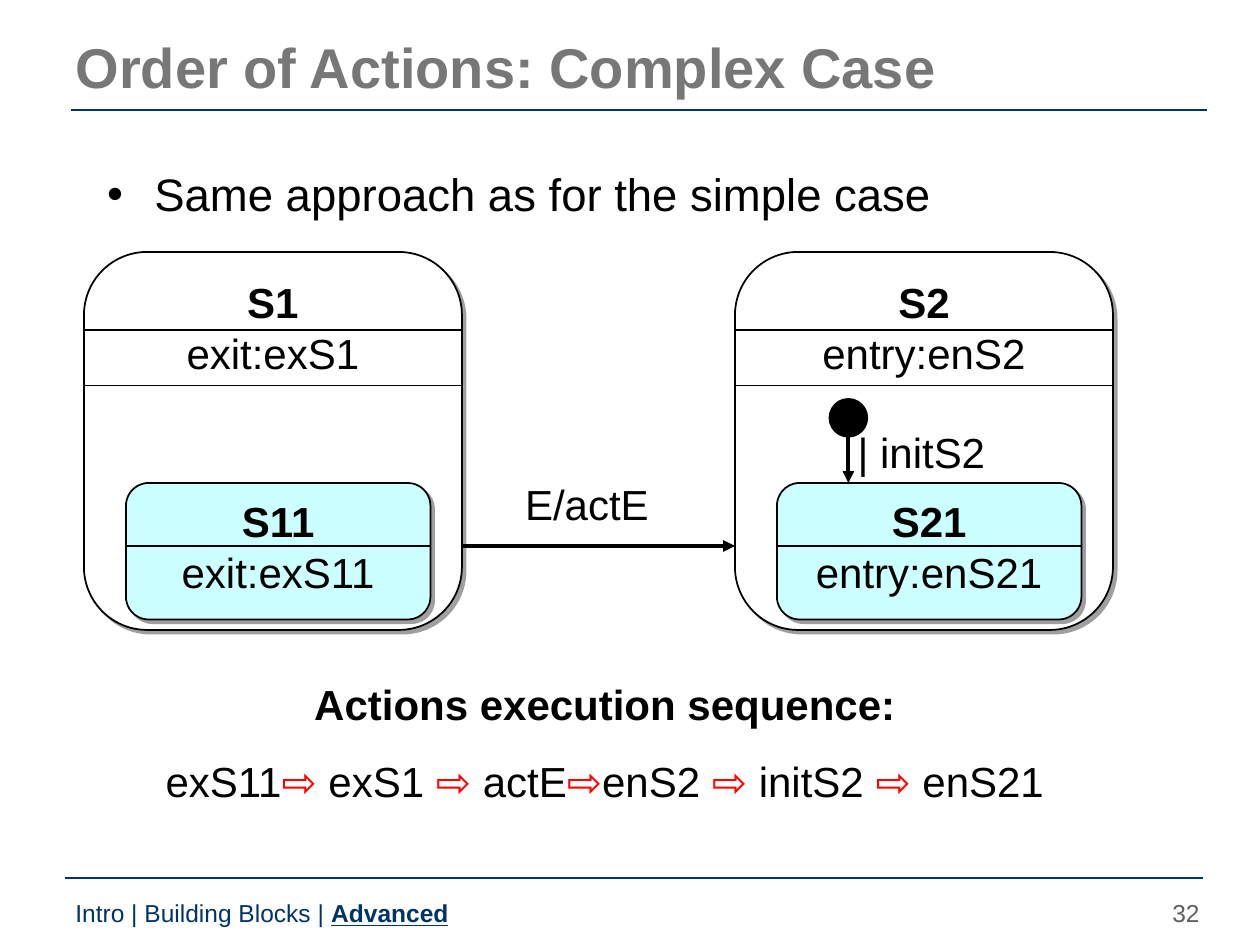
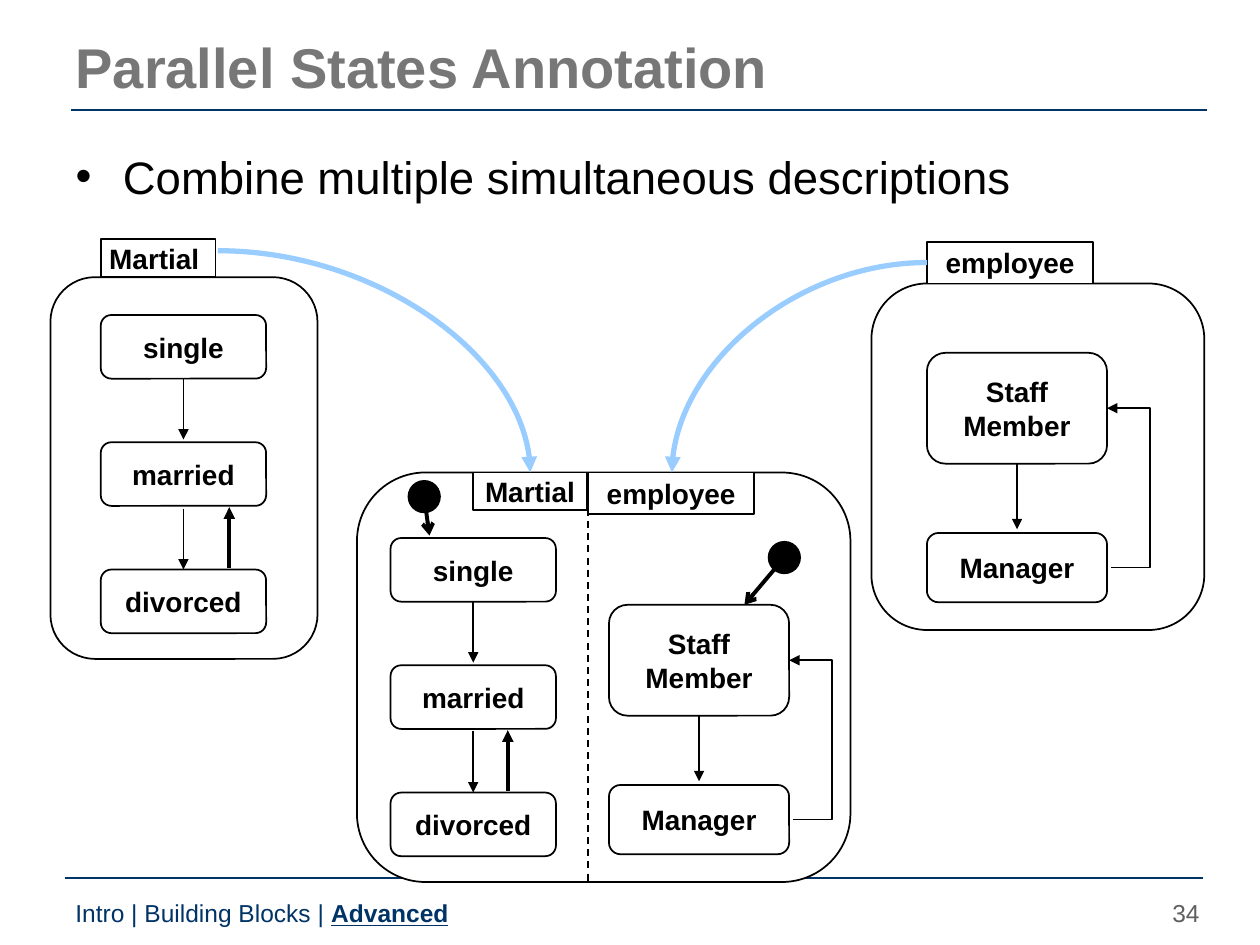
import collections

import lxml.etree
import pptx
import pptx.dml.color
import pptx.enum.dml
import pptx.enum.shapes
import pptx.enum.text
import pptx.oxml.ns
import pptx.util

# The slide is a grid of 120 columns by 90 rows; every length counts cells.
COLUMNS, ROWS = 120, 90
CELL = pptx.util.Inches(10) // COLUMNS

FONT = "Arial"
BLACK, WHITE, NAVY, RED = "000000", "FFFFFF", "003366", "FF0000"
TITLE_GREY, NUMBER_GREY, SHADOW_GREY = "777777", "5F5F5F", "808080"
INNER_FILL, MERGE_BLUE = "CCFFFF", "99CCFF"
ROUNDING = 0.167

SHAPES = pptx.enum.shapes.MSO_SHAPE
LINES = pptx.enum.shapes.MSO_CONNECTOR
ALIGN = pptx.enum.text.PP_ALIGN
ANCHOR = pptx.enum.text.MSO_ANCHOR

Box = collections.namedtuple("Box", "left top width height")


def cells(*counts):
    return [round(count * CELL) for count in counts]


def color(hex_code):
    return pptx.dml.color.RGBColor.from_string(hex_code)


def add_xml(parent, tag, **attributes):
    return lxml.etree.SubElement(parent, pptx.oxml.ns.qn(tag), attributes)


def add_span(para, text, size, hex_code=BLACK, bold=False, underline=False):
    span = para.add_run()
    span.text = text
    font = span.font
    font.name, font.size = FONT, pptx.util.Pt(size)
    font.bold, font.underline = bold, underline
    font.color.rgb = color(hex_code)


def write(frame, paragraphs, align=ALIGN.CENTER, anchor=ANCHOR.MIDDLE, wrap=False, before=None):
    """Fill a text frame; each paragraph is a list of add_span argument tuples."""
    frame.word_wrap = wrap
    frame.auto_size = pptx.enum.text.MSO_AUTO_SIZE.NONE
    frame.vertical_anchor = anchor
    for index, spans in enumerate(paragraphs):
        para = frame.add_paragraph() if index else frame.paragraphs[0]
        para.alignment = align
        if before is not None:
            para.space_before = pptx.util.Pt(before)
        for span in spans:
            add_span(para, *span)


def add_text(page, box, paragraphs, **layout):
    text_box = page.shapes.add_textbox(*cells(*box))
    write(text_box.text_frame, paragraphs, **layout)


def add_outline(page, kind, box, fill=WHITE):
    shape = page.shapes.add_shape(kind, *cells(*box))
    shape.shadow.inherit = False
    shape.fill.solid()
    shape.fill.fore_color.rgb = color(fill)
    shape.line.color.rgb = color(BLACK)
    shape.line.width = pptx.util.Pt(1)
    if kind == SHAPES.ROUNDED_RECTANGLE:
        shape.adjustments[0] = ROUNDING
    return shape


def add_line(page, start, end, hex_code=BLACK, width=1.0, head=None, kind=LINES.STRAIGHT):
    line = page.shapes.add_connector(kind, *cells(*start, *end))
    line.line.color.rgb = color(hex_code)
    line.line.width = pptx.util.Pt(width)
    if head:
        add_xml(line.line._get_or_add_ln(), "a:tailEnd", type=head)
    add_xml(line._element.spPr, "a:effectLst")
    return line


def add_arrow(page, start, end, width=1.0, head="triangle", **style):
    return add_line(page, start, end, width=width, head=head, **style)


def shape_geometry(line, preset, adjustment=None):
    geometry = line._element.spPr.find(pptx.oxml.ns.qn("a:prstGeom"))
    geometry.set("prst", preset)
    if adjustment is not None:
        guides = geometry.find(pptx.oxml.ns.qn("a:avLst"))
        if guides is None:
            guides = add_xml(geometry, "a:avLst")
        add_xml(guides, "a:gd", name="adj1", fmla=f"val {round(adjustment * 100000)}")


def add_shadow(shape):
    effects = shape._element.spPr.find(pptx.oxml.ns.qn("a:effectLst"))
    shadow = add_xml(effects, "a:outerShdw", blurRad="0", dist="38100", dir="2700000",
                     algn="tl", rotWithShape="0")
    tint = add_xml(shadow, "a:srgbClr", val=SHADOW_GREY)
    add_xml(tint, "a:alpha", val="75000")


def add_page(deck, title, bullet, body_box, number):
    page = deck.slides.add_slide(deck.slide_layouts[1])
    heading, body = page.placeholders
    for holder, box in ((heading, Box(6, 2.28, 108, 8)), (body, body_box)):
        holder.left, holder.top, holder.width, holder.height = cells(*box)
    write(heading.text_frame, [[(title, 32, TITLE_GREY, True)]], align=ALIGN.LEFT, wrap=True)
    write(body.text_frame, [[(bullet, 26)]], align=ALIGN.LEFT, anchor=ANCHOR.TOP,
          wrap=True, before=6.5)
    add_line(page, (6.72, 10.5), (114.96, 10.5), NAVY)
    add_footer(page, Box(6.24, 83.64, 108.36, 4.32), number)
    return page


def add_footer(page, box, number):
    add_line(page, box[:2], (box.left + box.width, box.top), NAVY)
    text_top = box.top + 1.32
    add_text(page, Box(6, text_top, 77, 3),
             [[("Intro | Building Blocks | ", 14, NAVY), ("Advanced", 14, NAVY, True, True)]],
             align=ALIGN.LEFT, anchor=ANCHOR.TOP, wrap=True)
    add_text(page, Box(109.44, text_top, 6, 3), [[(str(number), 14, NUMBER_GREY)]],
             align=ALIGN.RIGHT, anchor=ANCHOR.TOP, wrap=True)


def add_action_state(page, box, name, action, dividers, fill=WHITE):
    """Draw a shadowed state whose dividers lie the given rows below its top."""
    state = add_outline(page, SHAPES.ROUNDED_RECTANGLE, box, fill)
    add_shadow(state)
    write(state.text_frame, [[(name, 24, BLACK, True)], [(action, 24)]], anchor=ANCHOR.TOP)
    for drop in dividers:
        row = box.top + drop
        add_line(page, (box.left, row), (box.left + box.width, row))


def add_nested_states(page, box, outer, inner):
    add_action_state(page, box, *outer, dividers=(7.44, 12.72))
    inner_box = Box(box.left + 4, box.top + 22, 29, 13)
    add_action_state(page, inner_box, *inner, dividers=(6,), fill=INNER_FILL)


def add_start_dot(page, center, size, end, head):
    column, row = center
    add_outline(page, SHAPES.OVAL, Box(column - size / 2, row - size / 2, size, size), BLACK)
    add_arrow(page, center, end, 2.25, head)


def add_label(page, kind, box, *lines):
    shape = add_outline(page, kind, box)
    write(shape.text_frame, [[(line, 16, BLACK, True)] for line in lines])


def add_state(page, box, *lines):
    add_label(page, SHAPES.ROUNDED_RECTANGLE, box, *lines)


def add_tab(page, box, name):
    add_label(page, SHAPES.RECTANGLE, box, name)


def add_marital_states(page, box, return_shift):
    """Stack three states in the box; the way back up runs return_shift columns in."""
    height = box.height / 5
    tops = [box.top + 2 * height * index for index in range(3)]
    for top, name in zip(tops, ("single", "married", "divorced")):
        add_state(page, Box(box.left, top, box.width, height), name)
    middle, gap = box.left + box.width / 2, 0.25
    add_arrow(page, (middle, tops[0] + height), (middle, tops[1] - gap))
    add_arrow(page, (middle, tops[1] + height + gap), (middle, tops[2]))
    back = box.left + return_shift
    add_arrow(page, (back, tops[2] - gap / 2), (back, tops[1] + height + gap / 2), 2.25)


def add_employee_states(page, box):
    staff_height, manager_height = box.height * 4 / 9, box.height * 5 / 18
    manager_top = box.top + box.height - manager_height
    add_state(page, Box(box.left, box.top, box.width, staff_height), "Staff", "Member")
    add_state(page, Box(box.left, manager_top, box.width, manager_height), "Manager")
    middle, right = box.left + box.width / 2, box.left + box.width
    add_arrow(page, (middle, box.top + staff_height), (middle, manager_top - 0.36))
    gap, reach = 0.36, 3.72
    back = add_arrow(page, (right + gap, manager_top + manager_height / 2),
                     (right, box.top + staff_height / 2), kind=LINES.ELBOW)
    shape_geometry(back, "bentConnector3", -reach / gap)


def add_marital_panel(page, box):
    add_outline(page, SHAPES.ROUNDED_RECTANGLE, box)
    add_marital_states(page, Box(box.left + 4.8, box.top + 3.6, 15.75, 30.3), 12.24)
    add_tab(page, Box(box.left + 4.8, box.top - 3.6, 10.92, 3.6), "Martial ")


def add_employee_panel(page, box):
    add_outline(page, SHAPES.ROUNDED_RECTANGLE, box)
    add_employee_states(page, Box(box.left + 5.28, box.top + 6.6, 17.16, 23.76))
    add_tab(page, Box(box.left + 5.28, box.top - 3.96, 15.84, 3.96), "employee")


def add_parallel_panel(page, box):
    add_outline(page, SHAPES.ROUNDED_RECTANGLE, box)
    divider = box.left + 22
    add_employee_states(page, Box(divider + 2, box.top + 12.6, 17.16, 23.76))
    add_marital_states(page, Box(box.left + 3.2, box.top + 6.24, 15.75, 30.3), 11.16)
    add_tab(page, Box(divider, box.top, 15.84, 3.96), "employee")
    add_tab(page, Box(divider - 10.98, box.top, 10.92, 3.6), "Martial")
    border = add_line(page, (divider, box.top), (divider, box.top + box.height))
    border.line.dash_style = pptx.enum.dml.MSO_LINE.DASH
    add_start_dot(page, (box.left + 40.7, box.top + 8.1), 3, (box.left + 36.9, box.top + 12.6),
                  "arrow")
    add_start_dot(page, (box.left + 6.4, box.top + 2.3), 3, (box.left + 6.9, box.top + 6), "arrow")


def add_merge_arrow(page, start, end):
    arrow = add_arrow(page, start, end, 3, hex_code=MERGE_BLUE, kind=LINES.CURVE)
    shape_geometry(arrow, "curvedConnector2")


def add_sequence(page, box):
    steps = ("exS11", "⇨", " exS1 ", "⇨", " actE", "⇨", "enS2 ", "⇨", " initS2 ", "⇨", " enS21")
    spans = [(step, 24, RED if step == "⇨" else BLACK) for step in steps]
    add_text(page, box, [[("Actions execution sequence:", 24, BLACK, True)], spans], before=15)


def build_complex_case(deck):
    page = add_page(deck, "Order of Actions: Complex Case",
                    "Same approach as for the simple case", Box(9, 15.24, 102, 7.8), 32)
    add_nested_states(page, Box(8, 24, 36, 36), ("S1", "exit:exS1"), ("S11", "exit:exS11"))
    add_nested_states(page, Box(70, 24, 36, 36), ("S2", "entry:enS2"), ("S21", "entry:enS21"))
    add_start_dot(page, (80.8, 39.8), 3.6, (80.8, 46), "triangle")
    add_text(page, Box(80.5, 40, 14.5, 6), [[("| initS2", 24)]])
    add_arrow(page, (44, 52), (70, 52), 2.25)
    add_text(page, Box(48.8, 45, 14.2, 6), [[("E/actE", 24)]])
    add_sequence(page, Box(12.84, 64, 89.52, 13.32))


def build_parallel_states(deck):
    page = add_page(deck, "Parallel States Annotation",
                    "Combine multiple simultaneous descriptions", Box(6, 13.56, 108, 68.4), 34)
    add_employee_panel(page, Box(83, 27, 31.7, 33))
    add_parallel_panel(page, Box(34, 45, 47, 39))
    add_merge_arrow(page, (20.76, 23.88), (50.5, 45))
    add_merge_arrow(page, (88.3, 25), (64, 45))
    add_marital_panel(page, Box(4.8, 26.4, 25.44, 36.36))


def main():
    deck = pptx.Presentation()
    deck.slide_width, deck.slide_height = cells(COLUMNS, ROWS)
    build_complex_case(deck)
    build_parallel_states(deck)
    deck.save("out.pptx")


if __name__ == "__main__":
    main()
